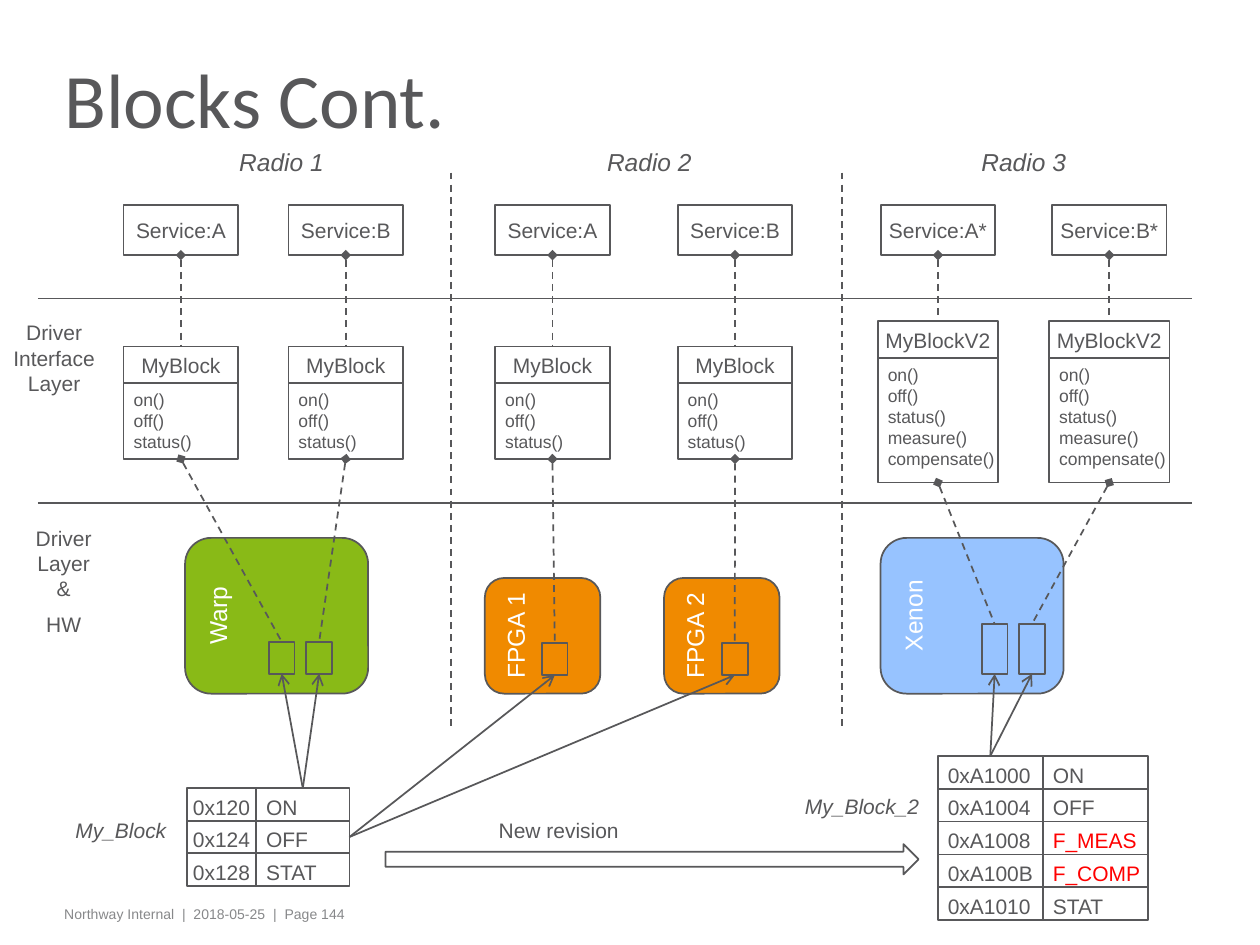
from copy import deepcopy

from lxml import etree
from pptx import Presentation
from pptx.dml.color import RGBColor
from pptx.enum import dml, shapes, text
from pptx.oxml.ns import qn
from pptx.util import Pt

GREY = RGBColor(0x58, 0x58, 0x5A)
FOOTER_GREY = RGBColor(0x87, 0x88, 0x8A)
RED = RGBColor(0xFF, 0x00, 0x00)
WHITE = RGBColor(0xFF, 0xFF, 0xFF)
GREEN = RGBColor(0x89, 0xBA, 0x17)
ORANGE = RGBColor(0xF0, 0x8A, 0x00)
BLUE = RGBColor(0x97, 0xC3, 0xFF)

LEFT, CENTER = text.PP_ALIGN.LEFT, text.PP_ALIGN.CENTER
TOP, MIDDLE = text.MSO_ANCHOR.TOP, text.MSO_ANCHOR.MIDDLE
RECT = shapes.MSO_SHAPE.RECTANGLE
ROUNDED = shapes.MSO_SHAPE.ROUNDED_RECTANGLE
SIDES = {0: (0.5, 0), 1: (0, 0.5), 2: (0.5, 1), 3: (1, 0.5)}
TOP_SIDE, BOTTOM_SIDE, RIGHT_SIDE = 0, 2, 3

MY_BLOCK = ("MyBlock", "on()\noff()\nstatus()", 198, 65.5, 43.3)
MY_BLOCK_V2 = ("MyBlockV2", "on()\noff()\nstatus()\nmeasure()\ncompensate()", 183.6, 68.8, 71.2)
# service, column centre, block kind
COLUMNS = [
    ("Service:A", 103.4, MY_BLOCK), ("Service:B", 197.6, MY_BLOCK),
    ("Service:A", 315.7, MY_BLOCK), ("Service:B", 420, MY_BLOCK),
    ("Service:A*", 536, MY_BLOCK_V2), ("Service:B*", 633.9, MY_BLOCK_V2),
]
# name, colour, box, register lefts, register top, register height
CHIPS = [
    ("Warp", GREEN, (105.8, 307.4, 104.6, 89), (153.6, 175), 366.7, 18.3),
    ("FPGA 1", ORANGE, (277.1, 330.3, 66, 66.1), (309.6,), 367.5, 18.3),
    ("FPGA 2", ORANGE, (379.5, 330.3, 66, 66.1), (412.5,), 367.5, 18.3),
    ("Xenon", BLUE, (503.2, 307.4, 104.6, 89), (561, 582.3), 356.6, 28.5),
]


class Page:
    font_name = "Arial"
    color = GREY
    line_width = Pt(1)

    def __init__(self, slide):
        self.slide = slide

    def set_text(self, frame, words, size=12, align=LEFT, color=None, anchor=TOP,
                 italic=False, insets=(5.7, 3.6), font_name=None):
        """Fill a frame; each item of a list of words is one paragraph."""
        side, edge = map(Pt, insets)
        frame_format = dict(word_wrap=False, vertical_anchor=anchor, margin_left=side,
                            margin_right=side, margin_top=edge, margin_bottom=edge)
        for name, value in frame_format.items():
            setattr(frame, name, value)
        font_format = dict(name=font_name or self.font_name, size=Pt(size), italic=italic)
        for index, words_of_para in enumerate([words] if isinstance(words, str) else words):
            para = frame.add_paragraph() if index else frame.paragraphs[0]
            para.text = words_of_para
            para.alignment = align
            para.space_before = Pt(size / 2 if index else 0)
            for span in para.runs:
                for name, value in font_format.items():
                    setattr(span.font, name, value)
                span.font.color.rgb = color or self.color
            for line_break in para._p.findall(qn("a:br")):
                line_break.append(deepcopy(para.runs[0]._r.rPr))

    def title(self, words, left, top, width, height):
        box = self.slide.shapes.title
        box.left, box.top, box.width, box.height = map(Pt, (left, top, width, height))
        self.set_text(box.text_frame, words, 44, anchor=MIDDLE, insets=(5.7, 0),
                      font_name="Calibri")
        box.text_frame.auto_size = text.MSO_AUTO_SIZE.NONE
        box.text_frame.paragraphs[0].line_spacing = 0.75

    def label(self, words, left, top, width, height, insets=(7.2, 3.6), **style):
        box = self.slide.shapes.add_textbox(*map(Pt, (left, top, width, height)))
        self.set_text(box.text_frame, words, insets=insets, **style)

    def box(self, left, top, width, height, words="", kind=RECT, fill=None, upward=False, **style):
        box = self.slide.shapes.add_shape(kind, *map(Pt, (left, top, width, height)))
        box.shadow.inherit = False
        if fill:
            box.fill.solid()
            box.fill.fore_color.rgb = fill
        else:
            box.fill.background()
        box.line.color.rgb = self.color
        box.line.width = self.line_width
        if words:
            self.set_text(box.text_frame, words, **style)
        if upward:
            box.text_frame._txBody.bodyPr.set("vert", "vert270")
        return box

    def line(self, x1, y1, x2, y2, dashed=False, head=None, tail=None):
        line = self.slide.shapes.add_connector(
            shapes.MSO_CONNECTOR.STRAIGHT, *map(Pt, (x1, y1, x2, y2)))
        line.line.color.rgb = self.color
        line.line.width = self.line_width
        if dashed:
            line.line.dash_style = dml.MSO_LINE.DASH
        for tag, end in (("a:headEnd", head), ("a:tailEnd", tail)):
            if end:
                etree.SubElement(line.line._get_or_add_ln(), qn(tag), type=end)
        etree.SubElement(line._element.spPr, qn("a:effectLst"))
        return line

    def link(self, start, start_side, end, end_side, **ends):
        """Join the middles of a side of two boxes."""
        points = []
        for box, side in ((start, start_side), (end, end_side)):
            across, down = SIDES[side]
            points += [(box.left + box.width * across) / Pt(1),
                       (box.top + box.height * down) / Pt(1)]
        line = self.line(*points, **ends)
        line.begin_connect(start, start_side)
        line.end_connect(end, end_side)

    def chip(self, name, fill, place, register_lefts, top, height):
        """Draw a chip and return its registers."""
        self.box(*place, name, ROUNDED, fill, upward=True, size=14, align=CENTER, color=WHITE)
        return [self.box(left, top, 14.8, height, fill=fill) for left in register_lefts]

    def column(self, service, center, block):
        """Draw a service over its block and return the block's body."""
        name, calls, top, width, height = block
        left = center - width / 2
        service_box = self.box(center - 32.75, 117.2, 65.5, 28.6, service,
                               align=CENTER, anchor=MIDDLE)
        body = self.box(left, top + 21, width, height, calls, size=10)
        heading = self.box(left, top, width, 21, name, align=CENTER)
        self.link(service_box, BOTTOM_SIDE, heading, TOP_SIDE, dashed=True, head="diamond")
        return body

    def register_map(self, left, top, widths, row_height, rows, address_align=LEFT):
        """Draw address and name cells and return them row by row."""
        cells = []
        for index, (address, name) in enumerate(rows):
            y = top + index * row_height
            color = RED if name.startswith("F_") else None
            cells.append((
                self.box(left, y, widths[0], row_height, address, align=address_align),
                self.box(left + widths[0], y, widths[1], row_height, name, color=color)))
        return cells


def main():
    deck = Presentation()
    deck.slide_width, deck.slide_height = Pt(720), Pt(540)
    page = Page(deck.slides.add_slide(deck.slide_layouts[5]))

    page.title("Blocks Cont.", 31, 18.7, 590.4, 85.7)
    page.label("Northway Internal  |  2018-05-25  |  Page 144", 31, 514.1, 582.5, 17.3,
               size=8, color=FOOTER_GREY, insets=(5.7, 3.6))

    registers = [register for chip in CHIPS for register in page.chip(*chip)]
    bodies = [page.column(*column) for column in COLUMNS]
    for body, register in zip(bodies, registers):
        page.link(body, BOTTOM_SIDE, register, TOP_SIDE, dashed=True, head="diamond")

    first_map = page.register_map(
        106.7, 450.4, (39.7, 53.3), 18.6,
        [("0x120", "ON"), ("0x124", "OFF"), ("0x128", "STAT")], CENTER)
    second_map = page.register_map(
        535.9, 432, (60, 60), 18.75,
        [("0xA1000", "ON"), ("0xA1004", "OFF"), ("0xA1008", "F_MEAS"),
         ("0xA100B", "F_COMP"), ("0xA1010", "STAT")])
    sources = [(first_map[0][1], TOP_SIDE), (first_map[1][1], RIGHT_SIDE),
               (second_map[0][0], TOP_SIDE)]
    for index, register in enumerate(registers):
        page.link(*sources[index // 2], register, BOTTOM_SIDE, tail="arrow")

    for x in (257.8, 481):
        page.line(x, 98.6, x, 417.6, dashed=True)
    for y in (170.6, 287.3):
        page.line(21.6, y, 681.1, y)

    for number, left in enumerate((129.6, 339.8, 553.7), 1):
        page.label(f"Radio {number}", left, 80.6, 63.4, 24.5, size=14, italic=True)
    page.label("Driver\nInterface\nLayer", 0, 179.3, 61.9, 51.1, align=CENTER)
    page.label(["Driver\nLayer\n&", "HW"], 13, 296.6, 46.8, 65.5, align=CENTER)
    page.label("My_Block", 36, 463.7, 67, 21.6, italic=True)
    page.label("My_Block_2", 452.9, 450, 80.6, 21.6, italic=True)
    page.label("New revision", 277.9, 463.7, 83.5, 21.6)
    page.box(220.3, 482.4, 304.6, 17.3, kind=shapes.MSO_SHAPE.RIGHT_ARROW)

    deck.save("out.pptx")


if __name__ == "__main__":
    main()
